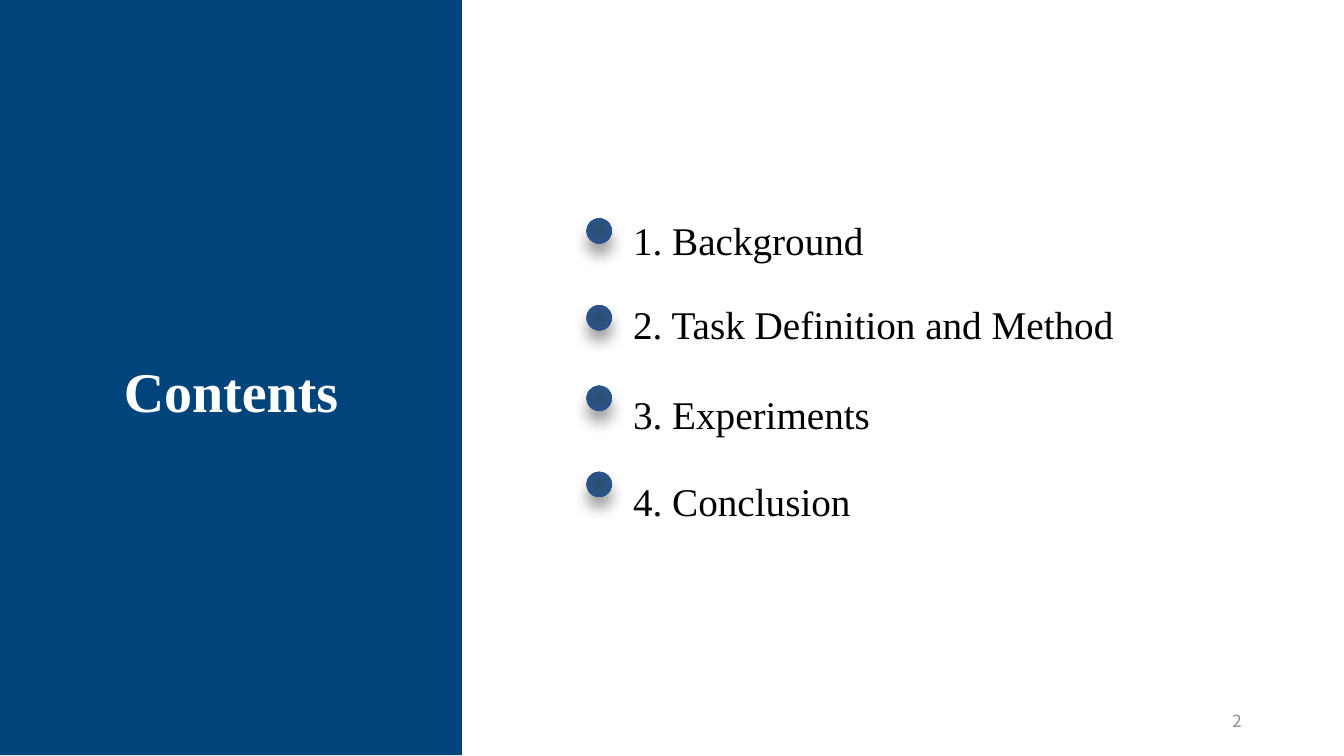
from dataclasses import dataclass

from lxml import etree
from pptx import Presentation
from pptx.dml.color import RGBColor
from pptx.enum import shapes, text
from pptx.oxml import parse_xml
from pptx.oxml.ns import nsdecls, qn
from pptx.util import Pt


@dataclass(frozen=True)
class Theme:
    serif: str = "Times New Roman"
    sans: str = "Noto Sans CJK SC"
    panel: str = "00447C"
    dot_center: str = "27506E"
    dot_edge: str = "2F5597"
    white: str = "FFFFFF"
    black: str = "000000"
    gray: str = "8C8C8C"
    title_size: int = 40
    item_size: int = 28
    number_size: int = 12


theme = Theme()


def place(shape, left, top, width, height):
    shape.left, shape.top = Pt(left), Pt(top)
    shape.width, shape.height = Pt(width), Pt(height)


def write(paragraph, words, size, color, font=theme.serif, bold=False,
          align=text.PP_ALIGN.LEFT, line_spacing=1.0, space_before=0):
    run = paragraph.add_run()
    run.text = words
    run.font.name = font
    run.font.size = Pt(size)
    run.font.bold = bold
    run.font.color.rgb = RGBColor.from_string(color)
    paragraph.alignment = align
    paragraph.line_spacing = line_spacing
    paragraph.space_before = Pt(space_before)


presentation = Presentation()
presentation.slide_width, presentation.slide_height = Pt(960), Pt(540)
slide = presentation.slides.add_slide(presentation.slide_layouts[1])
title, body = slide.placeholders

# Left panel, behind the title
panel = slide.shapes.add_shape(
    shapes.MSO_SHAPE.RECTANGLE, Pt(0), Pt(-0.5), Pt(330), Pt(540))
panel.fill.solid()
panel.fill.fore_color.rgb = RGBColor.from_string(theme.panel)
panel.line.fill.background()
panel.shadow.inherit = False
panel.element.getparent().insert(2, panel.element)

place(title, 0, 182, 330, 124)
title.text_frame.auto_size = text.MSO_AUTO_SIZE.NONE
title.text_frame.vertical_anchor = text.MSO_ANCHOR.BOTTOM
write(title.text_frame.paragraphs[0], "Contents", theme.title_size, theme.white,
      bold=True, align=text.PP_ALIGN.CENTER)

# Agenda: wording, space before the line, top of its dot
agenda = [
    ("1. Background", 0, 156),
    ("2. Task Definition and Method", 10, 218),
    ("3. Experiments", 13.5, 275.5),
    ("4. Conclusion", 11.5, 337),
]
place(body, 445, 134, 400, 250)
body.text_frame.auto_size = text.MSO_AUTO_SIZE.NONE
body.text_frame.vertical_anchor = text.MSO_ANCHOR.TOP
for index, (words, gap, dot_top) in enumerate(agenda):
    frame = body.text_frame
    paragraph = frame.add_paragraph() if index else frame.paragraphs[0]
    write(paragraph, words, theme.item_size, theme.black,
          line_spacing=1.5, space_before=gap)
    properties = paragraph._p.get_or_add_pPr()
    properties.set("marL", "0")
    properties.set("indent", "0")
    etree.SubElement(properties, qn("a:buNone"))

    dot = slide.shapes.add_shape(
        shapes.MSO_SHAPE.OVAL, Pt(419), Pt(dot_top), Pt(18), Pt(18))
    dot.line.fill.background()
    dot.fill.gradient()
    for stop, color in zip(dot.fill.gradient_stops, (theme.dot_center, theme.dot_edge)):
        stop.color.rgb = RGBColor.from_string(color)
    gradient = dot.element.spPr.find(qn("a:gradFill"))
    gradient.remove(gradient.find(qn("a:lin")))
    gradient.append(parse_xml(
        f'<a:path {nsdecls("a")} path="circle">'
        '<a:fillToRect l="50000" t="50000" r="50000" b="50000"/></a:path>'))
    dot.element.spPr.append(parse_xml(
        f'<a:effectLst {nsdecls("a")}>'
        f'<a:outerShdw blurRad="{Pt(11)}" dist="{Pt(8)}" dir="5400000" rotWithShape="0">'
        f'<a:srgbClr val="{theme.black}"><a:alpha val="40000"/></a:srgbClr>'
        '</a:outerShdw></a:effectLst>'))

page_number = slide.shapes.add_textbox(Pt(678), Pt(500.5), Pt(216), Pt(29))
page_number.text_frame.word_wrap = True
page_number.text_frame.vertical_anchor = text.MSO_ANCHOR.MIDDLE
write(page_number.text_frame.paragraphs[0], "2", theme.number_size, theme.gray,
      font=theme.sans, align=text.PP_ALIGN.RIGHT)

presentation.save("out.pptx")
